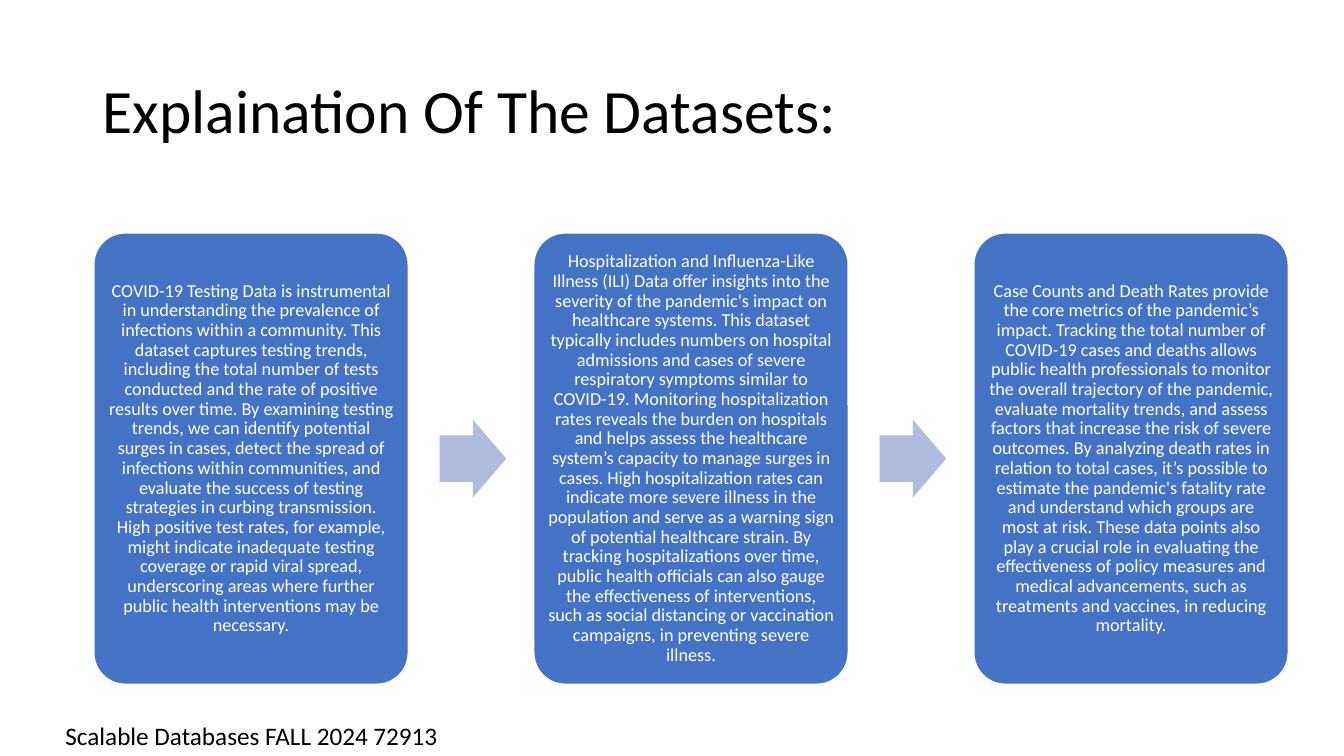
from pptx import Presentation
from pptx.dml.color import RGBColor
from pptx.enum.shapes import MSO_SHAPE
from pptx.enum.text import MSO_ANCHOR, MSO_AUTO_SIZE, PP_ALIGN
from pptx.util import Pt

ROUNDED, ARROW = MSO_SHAPE.ROUNDED_RECTANGLE, MSO_SHAPE.RIGHT_ARROW
MIDDLE = MSO_ANCHOR.MIDDLE
LEFT, CENTER = PP_ALIGN.LEFT, PP_ALIGN.CENTER
NO_AUTOFIT = MSO_AUTO_SIZE.NONE

BLACK = RGBColor(0x00, 0x00, 0x00)
WHITE = RGBColor(0xFF, 0xFF, 0xFF)
BLUE = RGBColor(0x44, 0x72, 0xC4)
PALE_BLUE = RGBColor(0xB0, 0xBC, 0xDE)

CARD_LEFT, CARD_TOP, CARD_WIDTH, CARD_HEIGHT = 67, 166.4, 224.6, 322.4
CARD_STEP = 314.3
ARROW_OFFSET, ARROW_WIDTH, ARROW_HEIGHT = 247, 47.6, 55.6

DATASETS = [
    "COVID-19 Testing Data is instrumental in understanding the prevalence of "
    "infections within a community. This dataset captures testing trends, including "
    "the total number of tests conducted and the rate of positive results over time. "
    "By examining testing trends, we can identify potential surges in cases, detect "
    "the spread of infections within communities, and evaluate the success of testing "
    "strategies in curbing transmission. High positive test rates, for example, might "
    "indicate inadequate testing coverage or rapid viral spread, underscoring areas "
    "where further public health interventions may be necessary.",
    "Hospitalization and Influenza-Like Illness (ILI) Data offer insights into the "
    "severity of the pandemic's impact on healthcare systems. This dataset typically "
    "includes numbers on hospital admissions and cases of severe respiratory symptoms "
    "similar to COVID-19. Monitoring hospitalization rates reveals the burden on "
    "hospitals and helps assess the healthcare system’s capacity to manage surges in "
    "cases. High hospitalization rates can indicate more severe illness in the "
    "population and serve as a warning sign of potential healthcare strain. By "
    "tracking hospitalizations over time, public health officials can also gauge the "
    "effectiveness of interventions, such as social distancing or vaccination "
    "campaigns, in preventing severe illness.",
    "Case Counts and Death Rates provide the core metrics of the pandemic’s impact. "
    "Tracking the total number of COVID-19 cases and deaths allows public health "
    "professionals to monitor the overall trajectory of the pandemic, evaluate "
    "mortality trends, and assess factors that increase the risk of severe outcomes. "
    "By analyzing death rates in relation to total cases, it’s possible to estimate "
    "the pandemic's fatality rate and understand which groups are most at risk. These "
    "data points also play a crucial role in evaluating the effectiveness of policy "
    "measures and medical advancements, such as treatments and vaccines, in reducing "
    "mortality.",
]


def write(frame, text, size, color, align=LEFT, line_spacing=1.0):
    frame.word_wrap = True
    paragraph = frame.paragraphs[0]
    paragraph.alignment = align
    paragraph.line_spacing = line_spacing
    run = paragraph.add_run()
    run.text = text
    run.font.name = "Calibri"
    run.font.size = Pt(size)
    run.font.color.rgb = color


def add_filled(preset, left, top, width, height, fill):
    shape = slide.shapes.add_shape(preset, Pt(left), Pt(top), Pt(width), Pt(height))
    shape.shadow.inherit = False
    shape.fill.solid()
    shape.fill.fore_color.rgb = fill
    return shape


deck = Presentation()
deck.slide_width, deck.slide_height = Pt(960), Pt(540)
slide = deck.slides.add_slide(deck.slide_layouts[5])

title = slide.shapes.title
title.left, title.top, title.width, title.height = Pt(66), Pt(28.8), Pt(828), Pt(104.4)
title.text_frame.auto_size = NO_AUTOFIT
title.text_frame.vertical_anchor = MIDDLE
write(title.text_frame, "Explaination Of The Datasets:", 44, BLACK, line_spacing=0.9)

for index, description in enumerate(DATASETS):
    left = CARD_LEFT + index * CARD_STEP
    card = add_filled(ROUNDED, left, CARD_TOP, CARD_WIDTH, CARD_HEIGHT, BLUE)
    card.adjustments[0] = 0.1
    card.line.color.rgb = WHITE
    card.line.width = Pt(1)
    frame = card.text_frame
    frame.margin_left = frame.margin_right = Pt(3.6)
    frame.margin_top = frame.margin_bottom = Pt(3.6)
    frame.vertical_anchor = MIDDLE
    write(frame, description, 13, WHITE, CENTER, 0.9)

    if index < len(DATASETS) - 1:
        arrow_top = CARD_TOP + (CARD_HEIGHT - ARROW_HEIGHT) / 2
        arrow = add_filled(ARROW, left + ARROW_OFFSET, arrow_top,
                           ARROW_WIDTH, ARROW_HEIGHT, PALE_BLUE)
        arrow.adjustments[0] = 0.6
        arrow.adjustments[1] = 0.5
        arrow.line.fill.background()

course = slide.shapes.add_textbox(Pt(39.6), Pt(511), Pt(347), Pt(29))
write(course.text_frame, "Scalable Databases FALL 2024 72913", 18, BLACK)

deck.save("out.pptx")
